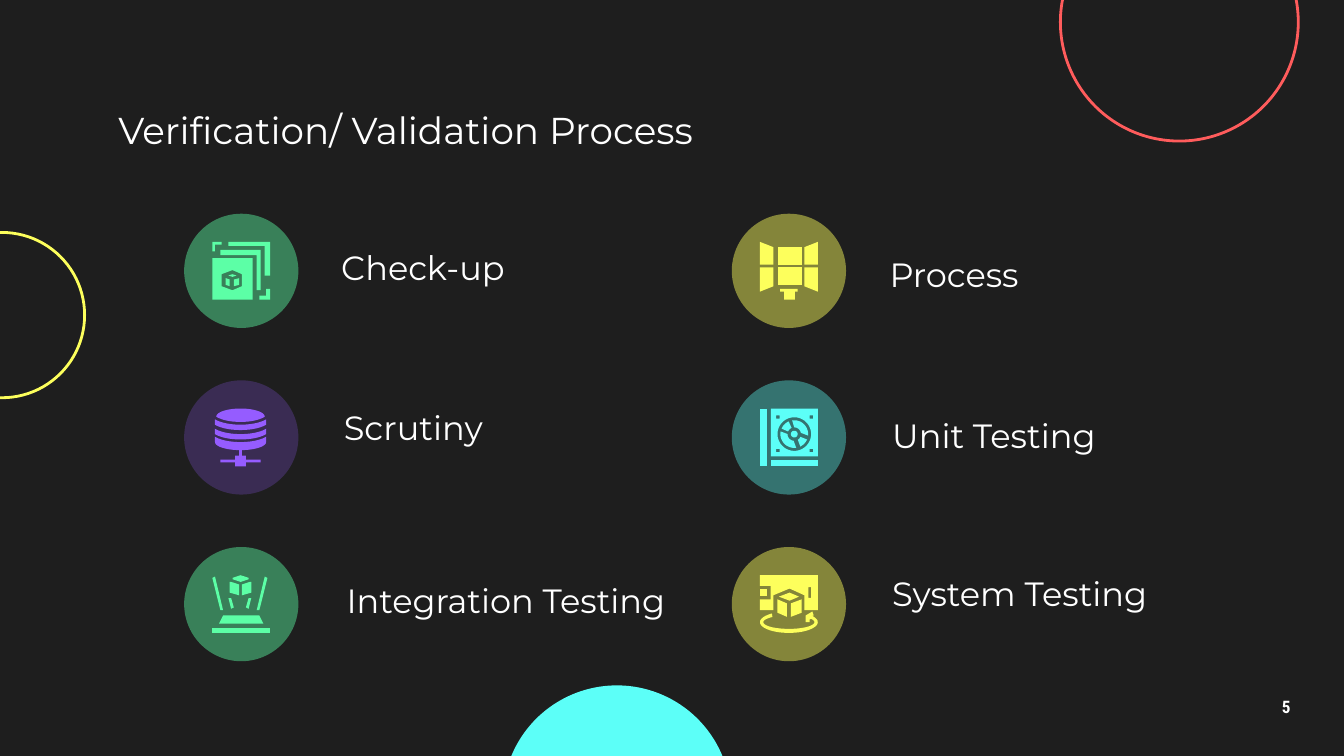
"""Build a dark slide with six testing steps, each with a badge and an icon."""
from math import cos, sin, radians

from lxml.etree import SubElement
from pptx import Presentation
from pptx.dml.color import RGBColor
from pptx.enum.shapes import MSO_SHAPE
from pptx.enum.text import MSO_ANCHOR, PP_ALIGN
from pptx.oxml.ns import qn
from pptx.util import Emu, Inches, Pt

DARK = RGBColor(0x1E, 0x1E, 0x1E)
WHITE = RGBColor(0xFF, 0xFF, 0xFF)
GREEN = RGBColor(0x5C, 0xFF, 0xA6)
PURPLE = RGBColor(0x95, 0x5C, 0xFF)
YELLOW = RGBColor(0xFD, 0xFF, 0x5C)
CYAN = RGBColor(0x5C, 0xFF, 0xF8)
RED = RGBColor(0xFF, 0x5C, 0x5C)
CELL = Inches(0.1)
COLS, ROWS = 100, 56.25


def poly(*nums):
    return list(zip(nums[::2], nums[1::2]))


def box(x, y, w, h):
    return poly(x, y, x, y + h, x + w, y + h, x + w, y)


def arc(x, y, rx, ry, start, end):
    steps = max(8, int(abs(end - start) / 6))
    turns = [radians(start + (end - start) * i / steps) for i in range(steps + 1)]
    return [(x + rx * cos(t), y + ry * sin(t)) for t in turns]


def ring(x, y, r):
    return arc(x, y, r, r, 0, 354)


def blade(out, to, back, end):
    return arc(25.5, 19, 10.3, 10.3, out, to) + arc(25.5, 19, 5, 5, back, end)


def sag(y, wide=22):
    return arc(21, y - 4, wide, 8, 150, 30)


def band(y):
    return sag(y) + sag(y + 4)[::-1]


FRAMES = [
    [poly(12, 0, 12, 3, 39, 3, 39, 25, 43, 25, 43, 0)],
    [poly(6, 6, 6, 10, 33, 10, 33, 36, 36, 36, 36, 6)],
    [poly(15, 24, 12, 25, 15, 26, 18, 25)],
    [poly(20, 27, 16, 28, 16, 33, 20, 32)],
    [poly(15, 21, 22, 24, 22, 33, 15, 36, 7, 33, 7, 24), box(0, 12, 30, 31)],
    [poly(10, 27, 10, 32, 13, 33, 13, 28)],
    [poly(40, 35, 40, 40, 35, 40, 35, 43, 43, 43, 43, 35)],
    [poly(0, 0, 0, 7, 2, 7, 2, 2, 7, 2, 7, 0)],
]
STORE = [
    [poly(20, 31, 20, 35, 17, 35, 17, 38, 6, 38, 6, 40, 17, 40, 17, 43, 25, 43,
          25, 40, 36, 40, 36, 38, 25, 38, 25, 35, 22, 35, 22, 31)],
    [band(8)],
    [arc(21, 6, 18, 6, 0, -180) + sag(6, 21)],
    [band(15)],
    [sag(21) + arc(21, 25, 19, 6, 0, 180)],
]
BEAM = [
    [poly(13, 5, 13, 13, 20, 15, 20, 7, 14, 5)],
    [poly(21, 0, 15, 2, 15, 3, 21, 5, 27, 3, 27, 2)],
    [poly(29, 5, 28, 5, 22, 7, 22, 15, 29, 13)],
    [poly(2, 1, 0, 2, 6, 26, 8, 26)],
    [poly(14, 17, 12, 17, 14, 25, 16, 24)],
    [poly(27, 17, 25, 24, 27, 25, 29, 17)],
    [poly(39, 1, 33, 26, 35, 26, 41, 2)],
    [poly(8, 30, 5, 36, 38, 36, 35, 30)],
    [box(0, 39, 43, 4)],
]
SCREEN = [
    [poly(15, 35, 15, 37, 18, 37, 18, 43, 26, 43, 26, 37, 28, 37, 28, 35)],
    [box(13, 19, 18, 13)],
    [poly(43, 0, 33, 4, 33, 17, 43, 17)],
    [box(13, 4, 18, 13)],
    [poly(33, 19, 33, 33, 43, 37, 43, 19)],
    [poly(0, 19, 0, 37, 10, 33, 10, 19)],
    [poly(0, 0, 0, 17, 10, 17, 10, 4)],
]
FAN = [
    [ring(25.5, 19, 2.5)],
    [blade(246, 203, 203, 246)],
    [blade(261, 366, 349, 270)],
    [box(0, 0, 5, 43)],
    [box(8, 38, 35, 5)],
    [blade(64, 23, 24, 58)],
    [box(8, 0, 35, 35.5), ring(25.5, 19, 12.5)]
    + [box(x, y, 2.5, 2.5) for x in (12, 37) for y in (5, 30)],
    [blade(191, 82, 95, 180)],
]
SCAN = [
    [box(0, 10, 5, 5.5)],
    [poly(39, 27, 34, 30, 34, 35, 37, 35, 37, 33)
     + arc(21.5, 35, 19, 5, -30, 230)
     + arc(21.5, 35, 21.5, 8, 234, -36) + poly(40, 30)],
    [poly(22, 13, 14, 16, 22, 19, 29, 16)],
    [poly(13, 18, 13, 28, 20, 31, 20, 21)],
    [poly(31, 18, 23, 21, 23, 31, 31, 28)],
    [box(36, 9, 2, 8), poly(0, 0, 0, 8, 8, 8, 8, 18, 0, 18, 0, 26, 10, 26, 10, 15,
                            22, 10, 33, 15, 33, 26, 43, 26, 43, 0)],
]
STEPS = [
    ("Check-up", 24.4, 17.8, 20.9, 4.2, GREEN, 44, FRAMES),
    ("Scrutiny", 24.6, 29.7, 20.9, 4.2, PURPLE, 24, STORE),
    ("Integration Testing", 24.8, 42.2, 27.9, 4.9, GREEN, 44, BEAM),
    ("Process", 65.2, 18.3, 20.9, 4.2, YELLOW, 46, SCREEN),
    ("Unit Testing", 65.4, 30.3, 20.9, 4.2, CYAN, 38, FAN),
    ("System Testing", 65.4, 41.9, 24.5, 4.5, YELLOW, 46, SCAN),
]


class Deck:
    """Hold the style and the current slide."""

    def __init__(self):
        self.deck = Presentation()
        self.deck.slide_width, self.deck.slide_height = self.grid(COLS, ROWS)
        self.slide = self.deck.slides.add_slide(self.deck.slide_layouts[5])
        self.items = self.slide.shapes
        back = self.slide.background.fill
        back.solid()
        back.fore_color.rgb = DARK

    def grid(self, *cells):
        return [Emu(round(c * CELL)) for c in cells]

    def paint(self, shape, color, alpha=100):
        shape.shadow.inherit = False
        shape.line.fill.background()
        shape.fill.solid()
        shape.fill.fore_color.rgb = color
        if alpha < 100:
            tone = shape.element.spPr.find(qn("a:solidFill"))[0]
            SubElement(tone, qn("a:alpha")).set("val", str(alpha * 1000))

    def disc(self, x, y, size, color, alpha=100, line=False):
        shape = self.items.add_shape(MSO_SHAPE.OVAL, *self.grid(x, y, size, size))
        self.paint(shape, color, alpha)
        if line:
            shape.fill.background()
            shape.line.color.rgb = color
            shape.line.width = Pt(1.5)

    def put(self, shape, text, size, font="Montserrat", bold=False,
            align=PP_ALIGN.LEFT, space=None):
        frame = shape.text_frame
        frame.word_wrap = True
        frame.vertical_anchor = MSO_ANCHOR.MIDDLE
        frame.margin_left = frame.margin_right = CELL
        frame.margin_top = frame.margin_bottom = CELL
        para = frame.paragraphs[0]
        para.alignment = align
        para.line_spacing = space
        run = para.add_run()
        run.text = text
        run.font.name, run.font.size, run.font.bold = font, Pt(size), bold
        run.font.color.rgb = WHITE

    def title(self, text, *area):
        shape = self.items.title
        shape.left, shape.top, shape.width, shape.height = self.grid(*area)
        self.put(shape, text, 20)

    def label(self, text, area, size=18, **style):
        self.put(self.items.add_textbox(*self.grid(*area)), text, size, **style)

    def icon(self, x, y, parts, color):
        group = self.items.add_group_shape()
        for part in parts:
            loops = [[self.grid(x + a / 10, y + b / 10) for a, b in loop] for loop in part]
            pen = group.shapes.build_freeform(*loops[0][0], scale=1.0)
            for loop in loops:
                if loop is not loops[0]:
                    pen.move_to(*loop[0])
                pen.add_line_segments(loop[1:], close=True)
            self.paint(pen.convert_to_shape(), color)


page = Deck()
page.disc(-6, 17.3, 12.3, YELLOW, line=True)
page.disc(37.4, 51, 17, CYAN)
page.label("5", (92.7, 51, 6, 3.4), 9.2, font="Roboto Condensed", bold=True,
           align=PP_ALIGN.CENTER, space=0.9)
page.title("Verification/ Validation Process", 7.8, 7.1, 84.4, 5.1)
for i, (name, x, y, w, h, color, alpha, parts) in enumerate(STEPS):
    col, row = divmod(i, 3)
    left, top = 13.7 + 40.75 * col, 15.9 + 12.4 * row
    page.label(name, (x, y, w, h))
    page.disc(left, top, 8.5, color, alpha)
    page.icon(left + 2.1, top + 2.1, parts, color)
page.disc(78.9, -7.2, 17.7, RED, line=True)
page.deck.save("out.pptx")
